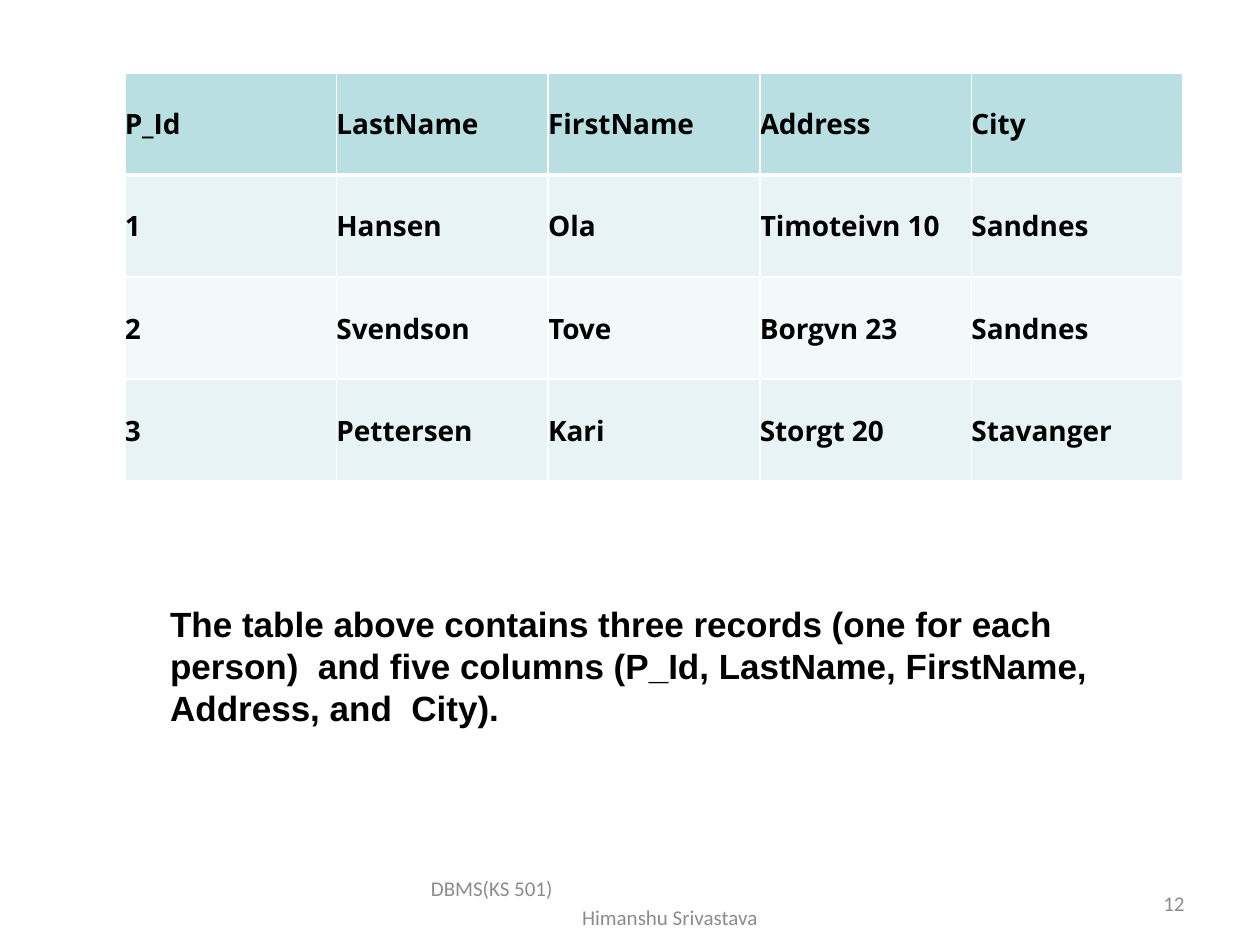
from dataclasses import dataclass

from lxml.etree import SubElement
from pptx import Presentation
from pptx.dml.color import RGBColor
from pptx.enum.text import MSO_ANCHOR, PP_ALIGN
from pptx.oxml.ns import qn
from pptx.util import Inches, Pt


@dataclass(frozen=True)
class Theme:
    ink: str = "000000"
    muted: str = "8C8C8C"
    rule: str = "FFFFFF"
    header: str = "BADFE2"
    bands: tuple = ("E7F3F4", "F3F8F9")
    table_font: str = "Open Sans"
    body_font: str = "Arial"
    footer_font: str = "Calibri"
    table_size: int = 16
    body_size: int = 20
    footer_size: int = 12
    footer_leading: float = 16.5


THEME = Theme()

RECORDS = [
    ("P_Id", "LastName", "FirstName", "Address", "City"),
    ("1", "Hansen", "Ola", "Timoteivn 10", "Sandnes"),
    ("2", "Svendson", "Tove", "Borgvn 23", "Sandnes"),
    ("3", "Pettersen", "Kari", "Storgt 20", "Stavanger"),
]
SUMMARY = [
    "The table above contains three records (one for each person)  and ",
    "five columns (P_Id, LastName, FirstName, Address, and  City).",
]
COURSE, AUTHOR, PAGE_NUMBER = "DBMS(KS 501)", "Himanshu Srivastava", "12"

SLIDE_WIDTH, SLIDE_HEIGHT = 10, 7.5
TABLE_LEFT, TABLE_TOP = 0.99, 0.58
COLUMN_WIDTH, ROW_HEIGHT = 1.68, 0.81
FOOTER_TOP, FOOTER_HEIGHT = 6.95, 0.4
AUTHOR_INDENT = 1.2


def add_span(para, text, font, size, colour, bold=False):
    span = para.add_run()
    span.text = text
    span.font.name = font
    span.font.size = Pt(size)
    span.font.bold = bold
    span.font.color.rgb = RGBColor.from_string(colour)


def add_box(page, left, top, width, height, inset=0, anchor=MSO_ANCHOR.TOP):
    box = page.shapes.add_textbox(*map(Inches, (left, top, width, height)))
    frame = box.text_frame
    frame.word_wrap = True
    frame.vertical_anchor = anchor
    frame.margin_left = frame.margin_right = Inches(inset)
    frame.margin_top = frame.margin_bottom = 0
    return frame


def set_borders(cell, top, bottom):
    properties = cell._tc.get_or_add_tcPr()
    for side, points in (("L", 1), ("R", 1), ("T", top), ("B", bottom)):
        line = SubElement(properties, qn(f"a:ln{side}"), w=str(Pt(points)))
        fill = SubElement(line, qn("a:solidFill"))
        SubElement(fill, qn("a:srgbClr"), val=THEME.rule)


def add_records(page):
    rows, columns = len(RECORDS), len(RECORDS[0])
    table = page.shapes.add_table(
        rows, columns, Inches(TABLE_LEFT), Inches(TABLE_TOP),
        Inches(columns * COLUMN_WIDTH), Inches(rows * ROW_HEIGHT)).table
    for column in table.columns:
        column.width = Inches(COLUMN_WIDTH)
    for r, record in enumerate(RECORDS):
        table.rows[r].height = Inches(ROW_HEIGHT)
        colour = THEME.bands[(r - 1) % 2] if r else THEME.header
        for c, value in enumerate(record):
            cell = table.cell(r, c)
            cell.margin_left = cell.margin_right = 0
            cell.margin_top = cell.margin_bottom = 0
            cell.vertical_anchor = MSO_ANCHOR.MIDDLE
            set_borders(cell, 3 if r == 1 else 1, 3 if r == 0 else 1)
            cell.fill.solid()
            cell.fill.fore_color.rgb = RGBColor.from_string(colour)
            add_span(cell.text_frame.paragraphs[0], value, THEME.table_font,
                     THEME.table_size, THEME.ink, bold=True)


def add_summary(page):
    para = add_box(page, 1.34, 4.78, 8.11, 1.03, inset=0.01).paragraphs[0]
    for text in SUMMARY:
        add_span(para, text, THEME.body_font, THEME.body_size, THEME.ink, bold=True)


def add_footer_line(para, text, align):
    para.alignment = align
    para.line_spacing = Pt(THEME.footer_leading)
    add_span(para, text, THEME.footer_font, THEME.footer_size, THEME.muted)


def add_footer(page):
    credit = add_box(page, 3.42, FOOTER_TOP, 3.17, FOOTER_HEIGHT,
                     anchor=MSO_ANCHOR.MIDDLE)
    add_footer_line(credit.paragraphs[0], COURSE, PP_ALIGN.LEFT)
    author = credit.add_paragraph()
    add_footer_line(author, AUTHOR, PP_ALIGN.LEFT)
    author._p.get_or_add_pPr().set("marL", str(Inches(AUTHOR_INDENT)))
    number = add_box(page, 7.17, FOOTER_TOP, 2.33, FOOTER_HEIGHT,
                     inset=0.1, anchor=MSO_ANCHOR.MIDDLE)
    add_footer_line(number.paragraphs[0], PAGE_NUMBER, PP_ALIGN.RIGHT)


def main():
    deck = Presentation()
    deck.slide_width, deck.slide_height = Inches(SLIDE_WIDTH), Inches(SLIDE_HEIGHT)
    page = deck.slides.add_slide(deck.slide_layouts[6])
    add_records(page)
    add_summary(page)
    add_footer(page)
    deck.save("out.pptx")


if __name__ == "__main__":
    main()
